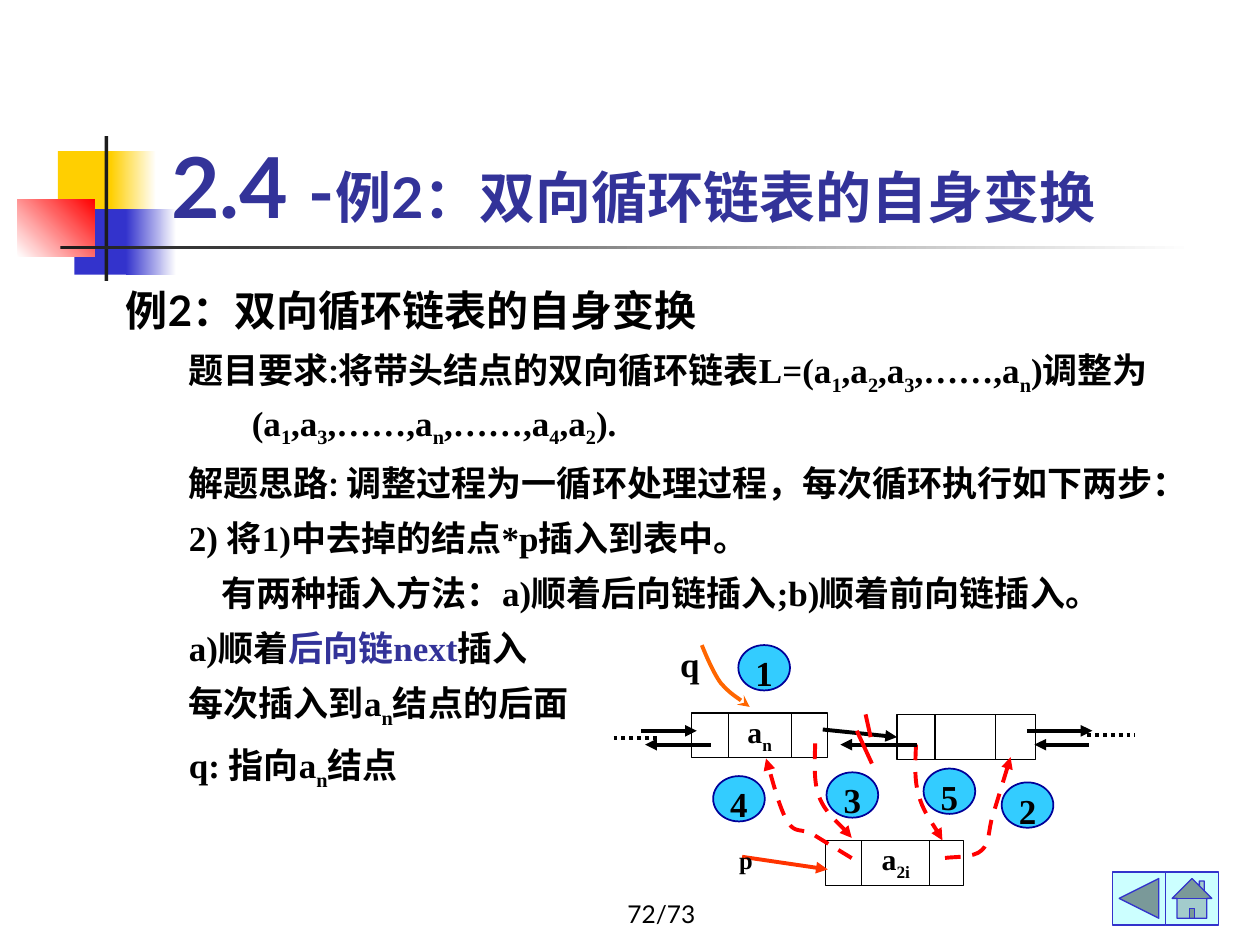
from dataclasses import dataclass
from lxml.etree import SubElement
from pptx import Presentation
from pptx.dml.color import RGBColor
from pptx.enum.dml import MSO_LINE
from pptx.enum.shapes import MSO_CONNECTOR, MSO_SHAPE
from pptx.enum.text import MSO_ANCHOR, PP_ALIGN
from pptx.oxml.ns import qn
from pptx.util import Inches, Pt


@dataclass(frozen=True)
class Theme:
    """Colours, fonts and type sizes of the slide."""
    ink: str = "000000"
    dark: str = "1C1C1C"
    white: str = "FFFFFF"
    yellow: str = "FFCF01"
    blue: str = "3333CC"
    red: str = "FF0000"
    indigo: str = "333399"
    badge: str = "33CCFF"
    badge_edge: str = "000099"
    button: str = "CCFFFF"
    orange: str = "FF6600"
    vermilion: str = "FF3300"
    sans: str = "Lato"
    serif: str = "Times New Roman"
    number: int = 48
    dash: int = 40
    title: int = 32
    heading: int = 24
    body: int = 20
    cell: int = 17
    small: int = 14


THEME = Theme()


def rgb(value):
    """Turn a hex value into a colour."""
    return RGBColor.from_string(value)


def write(paragraph, text, size=THEME.body, font=THEME.serif, color=THEME.ink, bold=True):
    """Append text, in which every second part between bars is a subscript."""
    for index, part in enumerate(text.split("|")):
        if part:
            run = paragraph.add_run()
            run.text = part
            run.font.size = Pt(size)
            run.font.name = font
            run.font.bold = bold
            run.font.color.rgb = rgb(color)
            if index % 2:
                run.font._element.set("baseline", "-25000")


def prepare(shape, margins=(0.1, 0.05, 0.1, 0.05), anchor=MSO_ANCHOR.TOP):
    """Set up a text frame and return its first paragraph."""
    frame = shape.text_frame
    frame.word_wrap = True
    frame.vertical_anchor = anchor
    frame.margin_left, frame.margin_top, frame.margin_right, frame.margin_bottom = map(Inches, margins)
    return frame.paragraphs[0]


def add_label(slide, box, text, size, spacing=1.0):
    """Add a small centred label."""
    label = prepare(slide.shapes.add_textbox(*map(Inches, box)), (0.02, 0, 0.02, 0.01))
    label.alignment = PP_ALIGN.CENTER
    label.line_spacing = spacing
    write(label, text, size)


def add_block(slide, kind, box, fill=None, edge=None, width=0.75, fade=None, angle=0):
    """Add a preset shape with a plain or fading fill."""
    block = slide.shapes.add_shape(kind, *map(Inches, box))
    block.shadow.inherit = False
    if fade:
        block.fill.gradient()
        block.fill.gradient_angle = angle
        for stop, color in zip(block.fill.gradient_stops, (fill, fade)):
            stop.color.rgb = rgb(color)
    elif fill:
        block.fill.solid()
        block.fill.fore_color.rgb = rgb(fill)
    else:
        block.fill.background()
    if edge:
        block.line.color.rgb = rgb(edge)
        block.line.width = Pt(width)
    else:
        block.line.fill.background()
    return block


def style_line(line, color, dash=None, head=None):
    """Give a line its colour, dash and arrowhead."""
    line.color.rgb = rgb(color)
    line.width = Pt(2.25)
    if dash:
        line.dash_style = dash
    if head:
        SubElement(line._get_or_add_ln(), qn("a:tailEnd"), type=head)


def add_link(slide, start, end, color=THEME.ink, dash=None, head="triangle"):
    """Add a straight line between two points."""
    link = slide.shapes.add_connector(MSO_CONNECTOR.STRAIGHT, *map(Inches, (*start, *end)))
    style_line(link.line, color, dash, head)
    SubElement(link._element.spPr, qn("a:effectLst"))
    return link


def add_curve(slide, points, color=THEME.red, dash=MSO_LINE.DASH, head="triangle"):
    """Add a curved arrow through Bezier points, three for each segment."""
    start, *rest = [(Inches(x), Inches(y)) for x, y in points]
    builder = slide.shapes.build_freeform(*start)
    builder.add_line_segments(rest, close=False)
    curve = builder.convert_to_shape()
    curve.shadow.inherit = False
    curve.fill.background()
    style_line(curve.line, color, dash, head)
    outline = curve._element.find(".//" + qn("a:path"))
    steps = outline.findall(qn("a:lnTo"))
    for index, step in enumerate(steps):
        if index % 3 == 0:
            segment = SubElement(outline, qn("a:cubicBezTo"))
        segment.append(step[0])
        outline.remove(step)


def add_node(slide, left, top, height, widths, name=""):
    """Add a list node of three cells and return the first cell."""
    cells = []
    for width, text in zip(widths, ("", name, "")):
        cell = add_block(slide, MSO_SHAPE.RECTANGLE, (left, top, width, height), edge=THEME.ink)
        if text:
            label = prepare(cell, (0.02, 0.01, 0.02, 0.01))
            label.alignment = PP_ALIGN.CENTER
            label.line_spacing = 0.9
            write(label, text, THEME.cell)
        cells.append(cell)
        left += width
    return cells[0]


def add_badge(slide, left, top, step):
    """Add a numbered step badge."""
    badge = add_block(slide, MSO_SHAPE.OVAL, (left, top, 0.41, 0.36), THEME.badge, THEME.badge_edge, 1)
    label = prepare(badge, (0, 0, 0, 0))
    label.alignment = PP_ALIGN.CENTER
    write(label, step)


def add_ornament(slide):
    """Add the coloured squares and rules beside the title."""
    t = THEME
    for box, fill, fade, angle in (
        ((0.46, 1.2, 0.48, 0.52), t.yellow, None, 0),
        ((0.88, 1.2, 0.36, 0.52), t.yellow, t.white, 0),
        ((0.59, 1.66, 0.46, 0.52), t.blue, None, 0),
        ((1, 1.66, 0.4, 0.52), t.blue, t.white, 0),
        ((0.14, 1.58, 0.61, 0.46), t.white, t.red, 45),
        ((0.83, 1.08, 0.03, 1.15), t.dark, None, 0),
        ((0.48, 1.95, 9, 0.03), t.dark, t.white, 0),
    ):
        add_block(slide, MSO_SHAPE.RECTANGLE, box, fill, fade=fade, angle=angle)


def add_wording(slide):
    """Add the title, the body and the page number."""
    t = THEME
    title = prepare(slide.shapes.add_textbox(*map(Inches, (1.26, 0.67, 8.52, 1.25))), anchor=MSO_ANCHOR.BOTTOM)
    for text, size in (("2.4 ", t.number), ("-", t.dash), ("例2：双向循环链表的自身变换", t.title)):
        write(title, text, size, t.sans, t.indigo)
    body = slide.shapes.add_textbox(*map(Inches, (0.9, 2.17, 8.85, 5.33)))
    heading = prepare(body)
    heading.line_spacing = 1.1
    write(heading, "例2：双向循环链表的自身变换", t.heading, t.sans)
    for indent, runs in (
        (-0.5, [("题目要求:", {"font": t.sans}),
                ("将带头结点的双向循环链表L=(a|1|,a|2|,a|3|,……,a|n|)调整为"
                 "(a|1|,a|3|,……,a|n|,……,a|4|,a|2|).", {})]),
        (-0.5, [("解题思路: 调整过程为一循环处理过程，每次循环执行如下两步：", {"font": t.sans})]),
        (-0.5, [("2) 将1)中去掉的结点*p插入到表中。", {})]),
        (-0.24, [("有两种插入方法：a)顺着后向链插入;b)顺着前向链插入。", {})]),
        (-0.5, [("a)顺着", {}), ("后向链next", {"color": t.indigo}), ("插入", {})]),
        (-0.5, [("每次插入到a|n|结点的后面", {})]),
        (-0.5, [("q: 指向a|n|结点", {})]),
    ):
        line = body.text_frame.add_paragraph()
        line.line_spacing = 1.1
        line.space_before = Pt(5)
        properties = line._p.get_or_add_pPr()
        properties.set("marL", str(Inches(1)))
        properties.set("indent", str(Inches(indent)))
        for text, style in runs:
            write(line, text, **style)
    page = prepare(slide.shapes.add_textbox(*map(Inches, (4.21, 6.92, 2.08, 0.5))), anchor=MSO_ANCHOR.BOTTOM)
    page.alignment = PP_ALIGN.CENTER
    write(page, "72/73", t.small, t.sans, bold=False)


def add_diagram(slide):
    """Add the linked list with the five insertion steps."""
    t = THEME
    add_node(slide, 5.49, 5.66, 0.35, (0.29, 0.5, 0.29), "a|n|")
    successor = add_node(slide, 7.12, 5.67, 0.36, (0.3, 0.48, 0.32))
    add_node(slide, 6.55, 6.67, 0.36, (0.29, 0.54, 0.27), "a|2i|")
    add_curve(slide, ((5.57, 5.12), (5.59, 5.17), (5.66, 5.34), (5.72, 5.42), (5.79, 5.5), (5.9, 5.57), (5.95, 5.61)),
              t.orange, None, "stealth")
    for route in (
        ((7.5, 6.81), (7.55, 6.8), (7.73, 6.81), (7.79, 6.75), (7.86, 6.69), (7.84, 6.59), (7.88, 6.47),
         (7.92, 6.34), (7.99, 6.11), (8.02, 6.01)),
        ((6.76, 6.81), (6.71, 6.78), (6.53, 6.67), (6.45, 6.62), (6.36, 6.57), (6.31, 6.62), (6.25, 6.52),
         (6.19, 6.42), (6.11, 6.12), (6.08, 6.02)),
        ((7.27, 5.91), (7.27, 5.98), (7.25, 6.18), (7.29, 6.3), (7.32, 6.43), (7.44, 6.59), (7.48, 6.67)),
        ((6.47, 5.9), (6.47, 5.97), (6.45, 6.2), (6.5, 6.32), (6.55, 6.45), (6.71, 6.58), (6.76, 6.65)),
    ):
        add_curve(slide, route)
    for left, top, step in ((5.86, 5.12, "1"), (7.95, 6.21, "2"), (6.56, 6.13, "3"), (5.66, 6.16, "4"), (7.33, 6.1, "5")):
        add_badge(slide, left, top, step)
    for start, end in (((8.15, 5.8), (8.67, 5.8)), ((5.09, 5.8), (5.53, 5.8)), ((5.64, 5.91), (5.12, 5.91)),
                       ((7.28, 5.91), (6.67, 5.91)), ((8.64, 5.91), (8.21, 5.91))):
        add_link(slide, start, end)
    add_link(slide, (6.53, 5.79), (7.12, 5.85)).end_connect(successor, 1)
    add_link(slide, (5.89, 6.8), (6.57, 6.9), t.vermilion)
    for start, end in (((4.87, 5.86), (5.24, 5.86)), ((8.63, 5.83), (9.01, 5.83))):
        add_link(slide, start, end, dash=MSO_LINE.ROUND_DOT, head=None)
    for start, end in (((6.8, 5.8), (6.92, 6.06)), ((6.87, 5.67), (6.91, 5.85))):
        add_link(slide, start, end, t.red, head=None)
    add_label(slide, (5.33, 5.1, 0.29, 0.47), "q", t.body)
    add_label(slide, (5.79, 6.75, 0.26, 0.27), "p", t.small, 0.8)


def main():
    """Build and save the slide."""
    deck = Presentation()
    deck.slide_width, deck.slide_height = Inches(10), Inches(7.5)
    slide = deck.slides.add_slide(deck.slide_layouts[6])
    add_ornament(slide)
    add_wording(slide)
    for left, action in ((9.25, MSO_SHAPE.ACTION_BUTTON_HOME), (8.83, MSO_SHAPE.ACTION_BUTTON_BACK_OR_PREVIOUS)):
        add_block(slide, action, (left, 6.92, 0.42, 0.42), THEME.button, THEME.blue)
    add_diagram(slide)
    deck.save("out.pptx")


if __name__ == "__main__":
    main()
